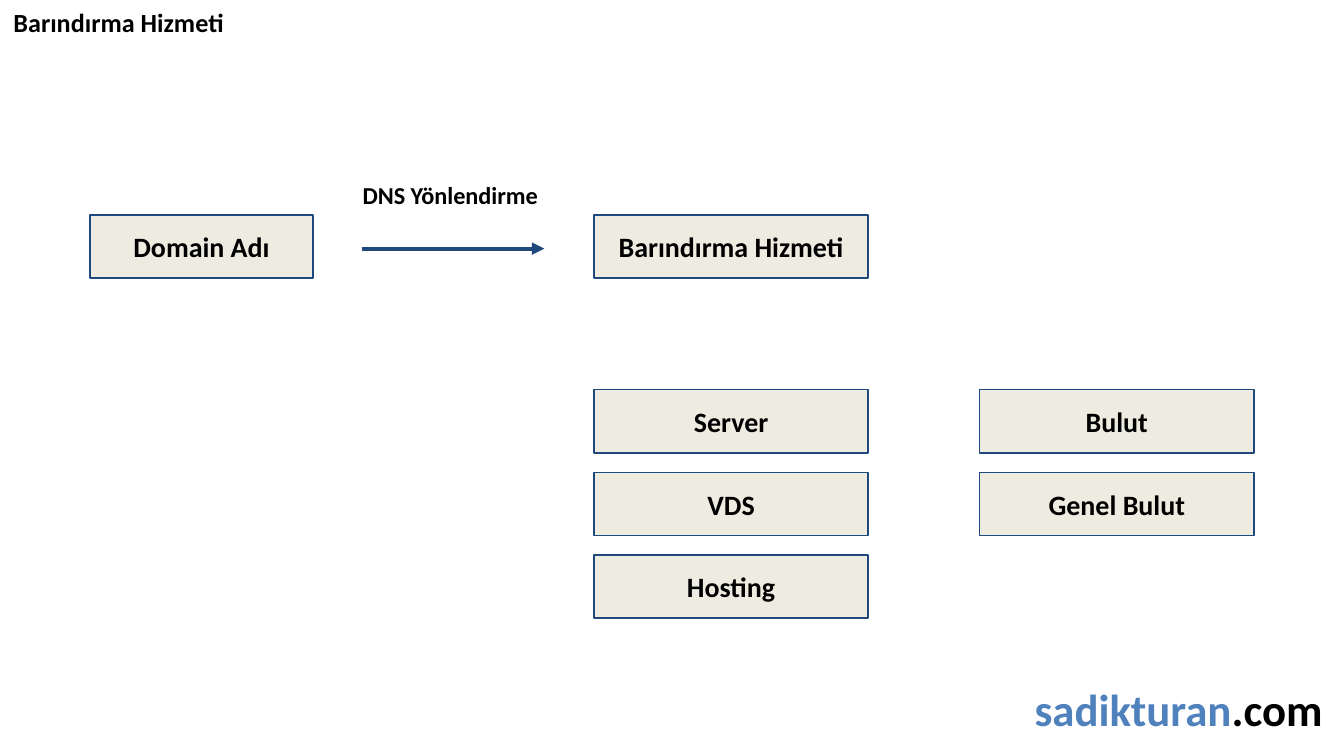
from dataclasses import dataclass

from lxml import etree
from pptx import Presentation
from pptx.dml.color import RGBColor
from pptx.enum import shapes, text
from pptx.oxml.ns import qn
from pptx.util import Inches, Pt


@dataclass(frozen=True)
class Theme:
    font: str = "Calibri"
    ink: RGBColor = RGBColor(0x00, 0x00, 0x00)
    navy: RGBColor = RGBColor(0x1F, 0x49, 0x7D)
    blue: RGBColor = RGBColor(0x4F, 0x81, 0xBD)
    cream: RGBColor = RGBColor(0xEE, 0xEC, 0xE1)
    title_size: int = 14
    box_size: int = 15
    label_size: int = 13
    site_size: int = 24


THEME = Theme()
BOX_WIDTH, BOX_HEIGHT = 2.04, 0.47
FLOW_TOP = 1.6
HOSTING_LEFT, CLOUD_LEFT = 4.42, 7.29
OPTIONS_TOP, LAST_OPTION_TOP = 2.9, 4.13
OPTION_STEP = (LAST_OPTION_TOP - OPTIONS_TOP) / 2


def style(para, size, align=text.PP_ALIGN.LEFT):
    para.alignment = align
    para.font.name = THEME.font
    para.font.size = Pt(size)
    para.font.bold = True
    para.font.color.rgb = THEME.ink


def add_title(page, words):
    title = page.shapes.title
    title.left, title.top = Inches(0), Inches(0)
    title.width, title.height = Inches(4.75), Inches(0.34)
    title.text_frame.text = words
    title.text_frame.vertical_anchor = text.MSO_ANCHOR.TOP
    title.text_frame.auto_size = text.MSO_AUTO_SIZE.NONE
    style(title.text_frame.paragraphs[0], THEME.title_size)


def add_label(page, left, top, width, height, size, *parts):
    """Add one line of text from (words, colour) parts."""
    label = page.shapes.add_textbox(
        Inches(left), Inches(top), Inches(width), Inches(height))
    label.text_frame.word_wrap = True
    para = label.text_frame.paragraphs[0]
    style(para, size)
    for words, colour in parts:
        span = para.add_run()
        span.text = words
        span.font.color.rgb = colour


def add_box(page, words, left, top, width=BOX_WIDTH):
    box = page.shapes.add_shape(
        shapes.MSO_SHAPE.RECTANGLE,
        Inches(left), Inches(top), Inches(width), Inches(BOX_HEIGHT))
    box.shadow.inherit = False
    box.fill.solid()
    box.fill.fore_color.rgb = THEME.cream
    box.line.color.rgb = THEME.navy
    box.line.width = Pt(0.75)
    frame = box.text_frame
    frame.word_wrap = True
    frame.vertical_anchor = text.MSO_ANCHOR.MIDDLE
    frame.margin_left = frame.margin_right = Inches(0.07)
    frame.margin_top = frame.margin_bottom = Inches(0.07)
    frame.text = words
    style(frame.paragraphs[0], THEME.box_size, text.PP_ALIGN.CENTER)


def add_column(page, left, names):
    for row, name in enumerate(names):
        add_box(page, name, left, OPTIONS_TOP + row * OPTION_STEP)


def add_arrow(page, start, end, y):
    arrow = page.shapes.add_connector(
        shapes.MSO_CONNECTOR.STRAIGHT,
        Inches(start), Inches(y), Inches(end), Inches(y))
    arrow.line.color.rgb = THEME.navy
    arrow.line.width = Pt(2.25)
    outline = arrow._element.spPr.find(qn("a:ln"))
    etree.SubElement(outline, qn("a:tailEnd"), type="triangle")
    etree.SubElement(arrow._element.spPr, qn("a:effectLst"))


def main():
    deck = Presentation()
    deck.slide_width = Inches(10)
    deck.slide_height = deck.slide_width * 9 // 16
    page = deck.slides.add_slide(deck.slide_layouts.get_by_name("Title Only"))

    add_title(page, "Barındırma Hizmeti")
    add_box(page, "Domain Adı", 0.67, FLOW_TOP, width=1.66)
    add_arrow(page, 2.69, 4.05, 1.85)
    add_label(page, 2.6, 1.29, 1.86, 0.32, THEME.label_size,
              ("DNS Yönlendirme", THEME.ink))
    add_box(page, "Barındırma Hizmeti", HOSTING_LEFT, FLOW_TOP)
    add_column(page, HOSTING_LEFT, ["Server", "VDS", "Hosting"])
    add_column(page, CLOUD_LEFT, ["Bulut", "Genel Bulut"])
    add_label(page, 7.6, 5.02, 2.37, 0.5, THEME.site_size,
              ("sadikturan", THEME.blue), (".com", THEME.ink))

    deck.save("out.pptx")


if __name__ == "__main__":
    main()
